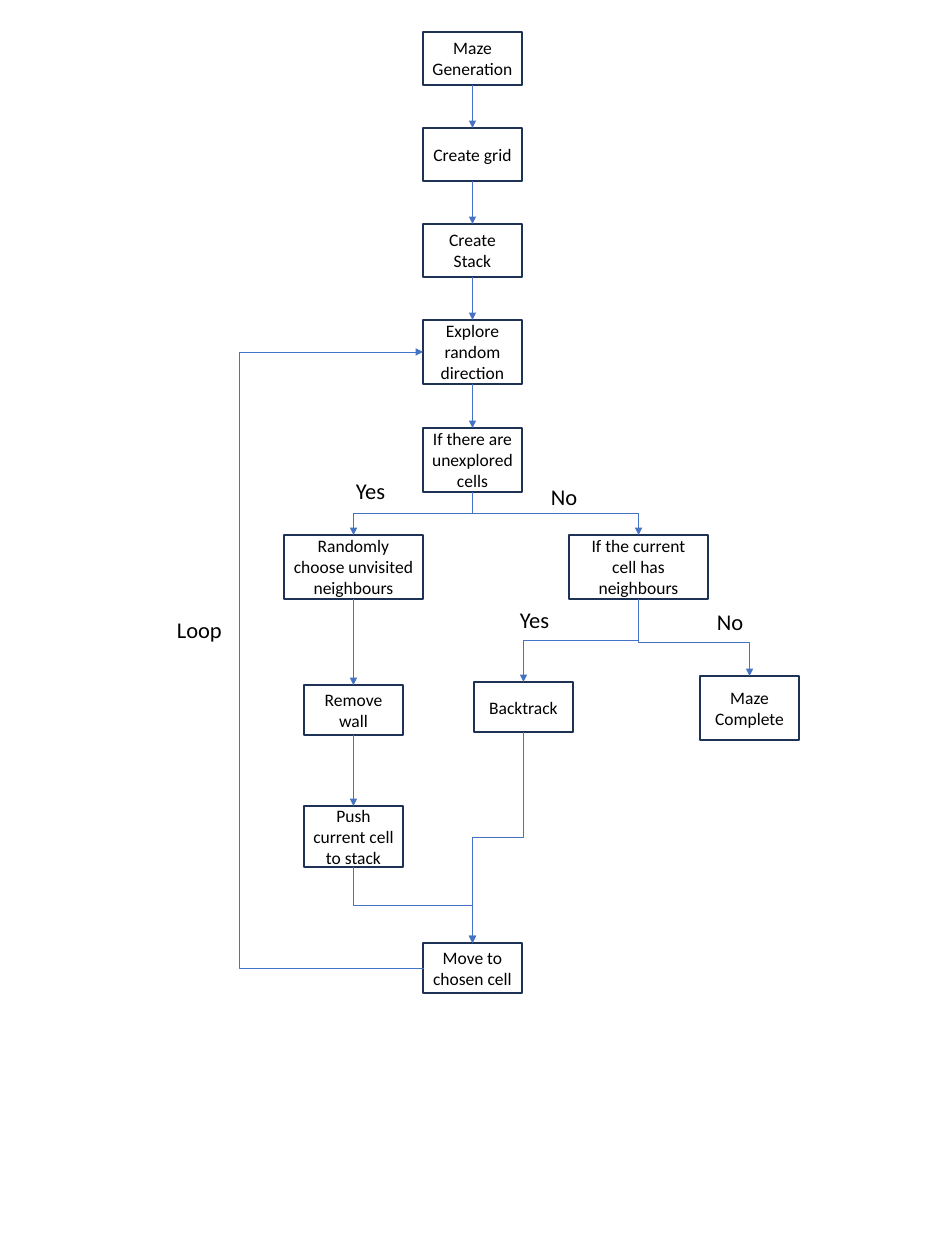
from dataclasses import dataclass

from pptx import Presentation
from pptx.dml.color import RGBColor
from pptx.enum.shapes import MSO_CONNECTOR as Link, MSO_SHAPE as Kind
from pptx.enum.text import MSO_ANCHOR as Anchor, MSO_AUTO_SIZE as Fit, PP_ALIGN as Align
from pptx.oxml.ns import qn
from pptx.oxml.xmlchemy import OxmlElement as Node
from pptx.util import Pt

PX = 914400 // 90
COLORS = {"text": "000000", "fill": "FFFFFF", "edge": "1E3256", "arrow": "4472C4"}
TOP, BOTTOM = 0, 2
SPINE = 423
LEFT = 304


@dataclass
class Box:
    """A flowchart step, in pixels."""
    text: str
    x: int
    y: int
    h: int
    w: int = 99


@dataclass
class Arrow:
    """A link from the bottom of one step to the top of another."""
    start: str
    end: str
    bend: float = 0.5


@dataclass
class Label:
    """A caption beside a link, in pixels."""
    text: str
    x: int
    y: int
    w: int = 61


BOXES = {
    "maze": Box("Maze Generation", SPINE, 32, 53),
    "grid": Box("Create grid", SPINE, 128, 53),
    "stack": Box("Create Stack", SPINE, 224, 53),
    "explore": Box("Explore random direction", SPINE, 320, 64),
    "cells": Box("If there are unexplored cells", SPINE, 428, 64),
    "choose": Box("Randomly choose unvisited neighbours", 284, 535, 64, 139),
    "near": Box("If the current cell has neighbours", 569, 535, 64, 139),
    "back": Box("Backtrack", 474, 682, 50),
    "done": Box("Maze Complete", 700, 676, 64),
    "wall": Box("Remove wall", LEFT, 685, 50),
    "push": Box("Push current cell to stack", LEFT, 806, 61),
    "move": Box("Move to chosen cell", SPINE, 943, 50),
}
ARROWS = [
    Arrow("maze", "grid"), Arrow("grid", "stack"),
    Arrow("stack", "explore"), Arrow("explore", "cells"),
    Arrow("cells", "choose"), Arrow("cells", "near"),
    Arrow("push", "move"), Arrow("back", "move"),
    Arrow("choose", "wall"), Arrow("wall", "push"),
    Arrow("near", "back"), Arrow("near", "done", 0.56),
]
LABELS = [
    Label("No", 542, 479), Label("Yes", 347, 473), Label("No", 708, 604),
    Label("Loop", 168, 612, 69), Label("Yes", 511, 602),
]


def color(name: str) -> RGBColor:
    """Look up a named colour."""
    return RGBColor.from_string(COLORS[name])


def write(frame, text: str, size: int, align=Align.LEFT) -> None:
    """Fill a text frame with one formatted paragraph."""
    frame.word_wrap = True
    line = frame.paragraphs[0]
    line.text, line.alignment = text, align
    line.font.name, line.font.size = "Calibri", Pt(size)
    line.font.color.rgb = color("text")


def add_box(slide, box: Box):
    """Draw one step and return its shape."""
    shape = slide.shapes.add_shape(
        Kind.RECTANGLE, box.x * PX, box.y * PX, box.w * PX, box.h * PX)
    shape.shadow.inherit = False
    shape.fill.solid()
    shape.fill.fore_color.rgb = color("fill")
    shape.line.color.rgb = color("edge")
    shape.line.width = Pt(1)
    shape.text_frame.vertical_anchor = Anchor.MIDDLE
    write(shape.text_frame, box.text, 14, Align.CENTER)
    return shape


def style(link) -> None:
    """Give a connector its colour, width and arrowhead."""
    link.line.color.rgb = color("arrow")
    link.line.width = Pt(0.5)
    tip = Node("a:tailEnd")
    tip.set("type", "triangle")
    link.line._get_or_add_ln().append(tip)
    link._element.spPr.append(Node("a:effectLst"))


def turn(link, angle: int, flip: bool, bend: float) -> None:
    """Rotate an elbow connector and place its middle segment."""
    props = link._element.spPr
    frame = props.find(qn("a:xfrm"))
    for name in ("flipH", "flipV"):
        frame.attrib.pop(name, None)
    frame.set("rot", str(angle * 60000))
    if flip:
        frame.set("flipH", "1")
    guide = Node("a:gd")
    guide.set("name", "adj1")
    guide.set("fmla", f"val {round(bend * 100000)}")
    props.find(qn("a:prstGeom")).get_or_add_avLst().append(guide)


def add_arrow(slide, arrow: Arrow, steps: dict) -> None:
    """Join two steps with a straight or an elbow arrow."""
    start, end = steps[arrow.start], steps[arrow.end]
    x1, x2 = (step.left + step.width // 2 for step in (start, end))
    y1, y2 = start.top + start.height, end.top
    kind = Link.STRAIGHT if x1 == x2 else Link.ELBOW
    link = slide.shapes.add_connector(kind, x1, y1, x2, y2)
    link.begin_connect(start, BOTTOM)
    link.end_connect(end, TOP)
    if x1 != x2:
        wide, high = y2 - y1, abs(x2 - x1)
        link.left, link.top = (x1 + x2 - wide) // 2, (y1 + y2 - high) // 2
        link.width, link.height = wide, high
        turn(link, 270 if x2 > x1 else 90, x2 > x1, arrow.bend)
    style(link)


def add_loop(slide, start: Box, end: Box, reach: int) -> None:
    """Lead back from one step to another, out to the left by reach."""
    link = slide.shapes.add_connector(
        Link.ELBOW, end.x * PX, (end.y + end.h // 2) * PX,
        (start.x + 1) * PX, (start.y + start.h // 2) * PX)
    turn(link, 180, False, reach)
    style(link)


def add_label(slide, label: Label) -> None:
    """Write one caption."""
    shape = slide.shapes.add_textbox(
        label.x * PX, label.y * PX, label.w * PX, 36 * PX)
    write(shape.text_frame, label.text, 18)
    shape.text_frame.auto_size = Fit.SHAPE_TO_FIT_TEXT


def main() -> None:
    """Build and save the flowchart."""
    deck = Presentation()
    deck.slide_width, deck.slide_height = 945 * PX, 1260 * PX
    slide = deck.slides.add_slide(deck.slide_layouts[6])
    steps = {name: add_box(slide, box) for name, box in BOXES.items()}
    for arrow in ARROWS:
        add_arrow(slide, arrow, steps)
    add_loop(slide, BOXES["move"], BOXES["explore"], 186)
    for label in LABELS:
        add_label(slide, label)
    deck.save("out.pptx")


main()
